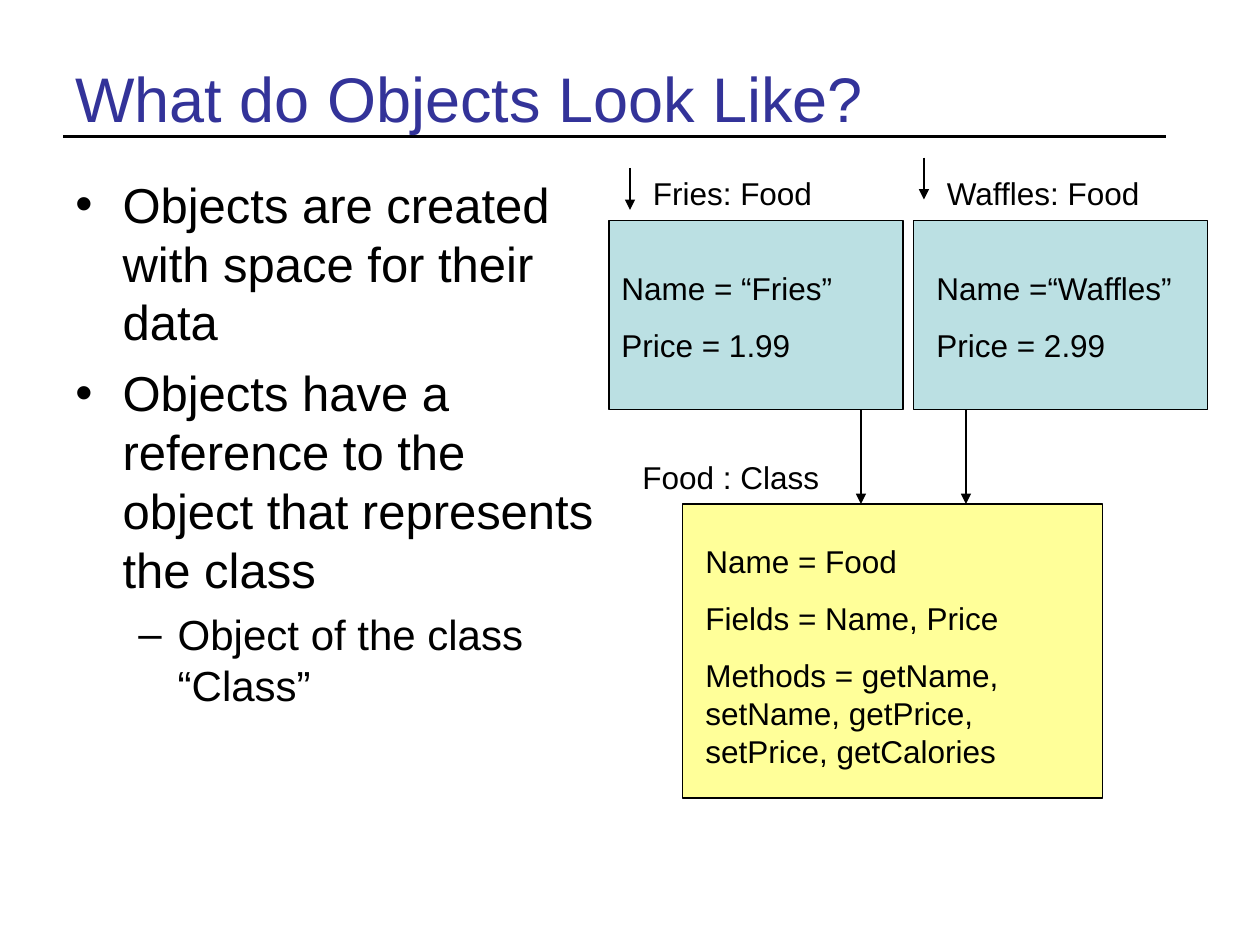
import pptx
import pptx.dml.color
import pptx.enum.shapes
import pptx.enum.text
import pptx.oxml.ns
import pptx.util
from lxml import etree

Pt = pptx.util.Pt
FONT = "Arial"
COLORS = {"title": "333399", "ink": "000000", "object": "BBE0E3", "class": "FFFF99"}

TITLE = "What do Objects Look Like?"
TITLE_BOX = (36, 21.6, 648, 68.4)
BODY_BOX = (36, 96, 318, 386.4)
# text, level
BULLETS = [
    ("Objects are created with space for their data", 0),
    ("Objects have a reference to the object that represents the class", 0),
    ("Object of the class “Class”", 1),
]
# per level: bullet, size, left indent, hanging indent, space before
LEVELS = [("•", 28, 27, 27, 7), ("–", 24, 58.5, 22.5, 6)]

# fill, left, top, width, height
BOXES = [
    ("class", 390, 288, 240, 168),
    ("object", 348, 126, 168, 108),
    ("object", 522, 126, 168, 108),
]
# x, top, bottom
ARROWS = [(492, 234, 288), (552, 234, 288), (360, 96, 120), (528, 90, 114)]
# lines, left, top, width, height
LABELS = [
    (["Name = Food", "Fields = Name, Price",
      "Methods = getName, setName, getPrice, setPrice, getCalories"], 396, 306, 228, 138),
    (["Food : Class"], 360, 258, 150, 29),
    (["Name = “Fries”", "Price = 1.99"], 348, 150, 162, 62),
    (["Fries: Food"], 366, 96, 138, 29),
    (["Waffles: Food"], 534, 96, 138, 29),
    (["Name =“Waffles”", "Price = 2.99"], 528, 150, 162, 62),
]


def rgb(name):
    return pptx.dml.color.RGBColor.from_string(COLORS[name])


def add_child(parent, tag, **attributes):
    return etree.SubElement(parent, pptx.oxml.ns.qn(tag), attributes)


def add_text(slide, lines, box, size, color="ink", space=0):
    shape = slide.shapes.add_textbox(*map(Pt, box))
    text_frame = shape.text_frame
    text_frame.word_wrap = True
    text_frame.text = "\n".join(lines)
    for index, paragraph in enumerate(text_frame.paragraphs):
        if index:
            paragraph.space_before = Pt(space)
        for run in paragraph.runs:
            run.font.name = FONT
            run.font.size = Pt(size)
            run.font.color.rgb = rgb(color)
    return text_frame


def add_line(slide, start, end, width, arrow=False):
    connector = slide.shapes.add_connector(
        pptx.enum.shapes.MSO_CONNECTOR.STRAIGHT, *map(Pt, start + end))
    connector.line.color.rgb = rgb("ink")
    connector.line.width = Pt(width)
    if arrow:
        add_child(connector.line._get_or_add_ln(), "a:tailEnd", type="triangle")
    add_child(connector._element.spPr, "a:effectLst")


def add_box(slide, fill, *box):
    shape = slide.shapes.add_shape(
        pptx.enum.shapes.MSO_SHAPE.RECTANGLE, *map(Pt, box))
    shape.shadow.inherit = False
    shape.fill.solid()
    shape.fill.fore_color.rgb = rgb(fill)
    shape.line.color.rgb = rgb("ink")
    shape.line.width = Pt(0.75)


def add_bullets(slide):
    text_frame = add_text(slide, [text for text, _ in BULLETS], BODY_BOX, LEVELS[0][1])
    for index, (paragraph, (_, level)) in enumerate(zip(text_frame.paragraphs, BULLETS)):
        bullet, size, left, hanging, space = LEVELS[level]
        paragraph.level = level
        if index:
            paragraph.space_before = Pt(space)
        paragraph.runs[0].font.size = Pt(size)
        properties = paragraph._p.get_or_add_pPr()
        properties.set("marL", str(int(Pt(left))))
        properties.set("indent", str(-int(Pt(hanging))))
        add_child(add_child(properties, "a:buClr"), "a:srgbClr", val=COLORS["ink"])
        add_child(properties, "a:buFont", typeface=FONT)
        add_child(properties, "a:buChar", char=bullet)


def main():
    presentation = pptx.Presentation()
    presentation.slide_width, presentation.slide_height = Pt(720), Pt(540)
    slide = presentation.slides.add_slide(presentation.slide_layouts[6])

    add_line(slide, (36, 78), (666, 78), 1.5)
    title_frame = add_text(slide, [TITLE], TITLE_BOX, 36, "title")
    title_frame.vertical_anchor = pptx.enum.text.MSO_ANCHOR.MIDDLE
    add_bullets(slide)

    for box in BOXES:
        add_box(slide, *box)
    for x, top, bottom in ARROWS:
        add_line(slide, (x, top), (x, bottom), 0.75, arrow=True)
    for lines, *box in LABELS:
        text_frame = add_text(slide, lines, box, 18, space=11.2)
        text_frame.auto_size = pptx.enum.text.MSO_AUTO_SIZE.SHAPE_TO_FIT_TEXT

    presentation.save("out.pptx")


if __name__ == "__main__":
    main()
